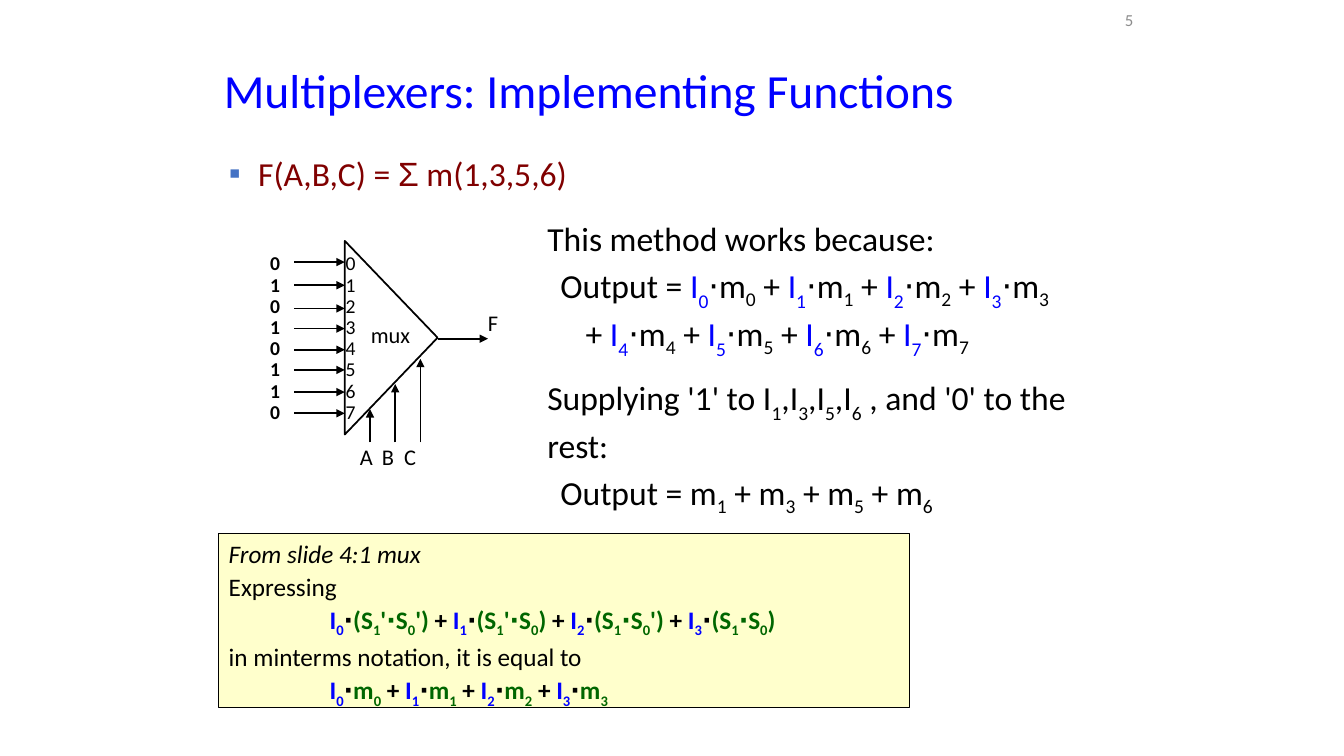
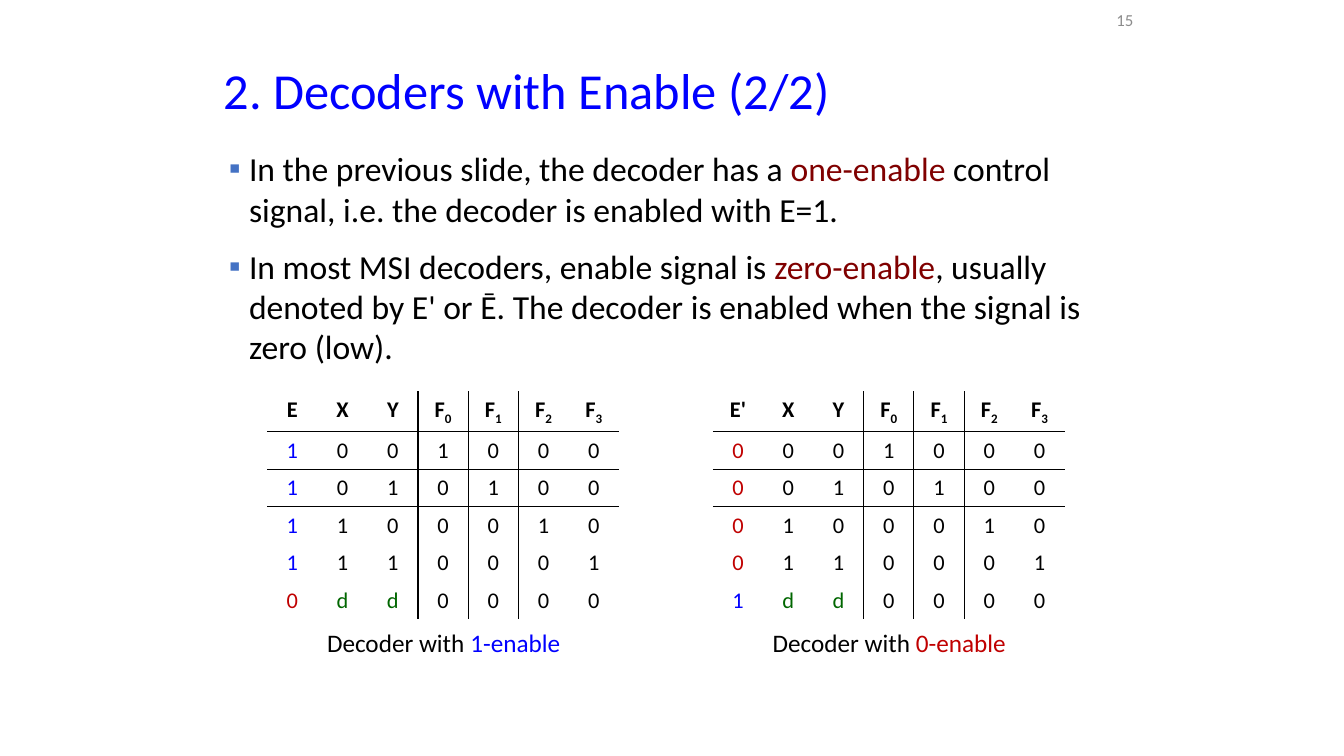
from lxml.etree import SubElement
from pptx import Presentation
from pptx.dml.color import RGBColor
from pptx.enum.shapes import MSO_CONNECTOR, MSO_SHAPE
from pptx.enum.text import MSO_ANCHOR, MSO_AUTO_SIZE, PP_ALIGN
from pptx.oxml.ns import qn
from pptx.util import Emu, Pt

PX = 9144  # one hundredth of an inch
FONT = "Calibri"
BLACK, BLUE, RED, GREEN = "000000", "0000FF", "C00000", "006600"
MAROON, GRAY, BULLET, CREAM = "800000", "8C8C8C", "4472C4", "FFFFCC"
NO_GRID_STYLE = "{2D5ABB26-0587-4C30-8999-92F81FD0307C}"


def px(length):
    return Emu(length * PX)


def color(code):
    return RGBColor.from_string(code)


class Deck:
    """Holds the shared style and the slide being built."""

    def __init__(self):
        self.deck = Presentation()
        self.deck.slide_width, self.deck.slide_height = px(1333), px(750)
        self.page = None

    def add_page(self, number, title, size):
        self.page = self.deck.slides.add_slide(self.deck.slide_layouts[1])
        frame = self.place(self.page.shapes.title, 212, 57, 930, 70)
        frame.vertical_anchor = MSO_ANCHOR.MIDDLE
        self.para(frame, [(title, BLUE)], size, spacing=0.9)
        frame = self.text_box(1039, 2, 95, 36)
        frame.vertical_anchor = MSO_ANCHOR.MIDDLE
        self.para(frame, [(number, GRAY)], 12, align=PP_ALIGN.RIGHT)

    def place(self, shape, left, top, width, height):
        shape.left, shape.top = px(left), px(top)
        shape.width, shape.height = px(width), px(height)
        frame = shape.text_frame
        frame.word_wrap = True
        frame.auto_size = MSO_AUTO_SIZE.NONE
        return frame

    def text_box(self, left, top, width, height):
        box = self.page.shapes.add_textbox(0, 0, 0, 0)
        return self.place(box, left, top, width, height)

    def para(self, frame, spans, size, before=0, after=0, spacing=None,
             align=PP_ALIGN.LEFT, margin=0, indent=0, **style):
        """Add a paragraph of (text, color[, subscript offset]) spans."""
        first = frame.paragraphs[0]
        para = frame.add_paragraph() if first.runs else first
        para.alignment = align
        para.space_before, para.space_after = Pt(before), Pt(after)
        if spacing:
            para.line_spacing = spacing
        properties = para._p.get_or_add_pPr()
        properties.set("marL", str(px(margin)))
        properties.set("indent", str(px(indent)))
        for text, ink, *offset in spans:
            if text.startswith("\n"):
                para.add_line_break()
            self.span(para, text.lstrip("\n"), ink, size, *offset, **style)
        return para

    def span(self, para, text, ink, size, offset=-25, bold=False, italic=False):
        """Add runs; the character after each underscore is a subscript."""
        head, *tails = text.split("_")
        pieces = [(head, 0)]
        for tail in tails:
            pieces += [(tail[0], offset), (tail[1:], 0)]
        for piece, baseline in pieces:
            if not piece:
                continue
            run = para.add_run()
            run.text = piece
            run.font.name = "Arial" if piece == "Σ" else FONT
            run.font.size = Pt(size)
            run.font.bold, run.font.italic = bold, italic
            run.font.color.rgb = color(ink)
            if baseline:
                run.font._element.set("baseline", str(baseline * 1000))

    def bullets(self, area, items, before, hang):
        frame = self.place(self.page.placeholders[1], *area)
        for spans in items:
            para = self.para(frame, spans, 24, before, margin=hang, indent=-hang)
            properties = para._p.get_or_add_pPr()
            tint = SubElement(properties, qn("a:buClr"))
            SubElement(tint, qn("a:srgbClr")).set("val", BULLET)
            SubElement(properties, qn("a:buFont")).set("typeface", "Arial")
            SubElement(properties, qn("a:buChar")).set("char", "▪")

    def shape(self, kind, left, top, width, height, weight, fill=None):
        shape = self.page.shapes.add_shape(
            kind, px(left), px(top), px(width), px(height))
        shape.shadow.inherit = False
        shape.line.color.rgb = color(BLACK)
        shape.line.width = Pt(weight)
        if fill:
            shape.fill.solid()
            shape.fill.fore_color.rgb = color(fill)
        else:
            shape.fill.background()
        return shape

    def arrow(self, *ends):
        arrow = self.page.shapes.add_connector(
            MSO_CONNECTOR.STRAIGHT, *[px(end) for end in ends])
        arrow.line.color.rgb = color(BLACK)
        arrow.line.width = Pt(1.25)
        properties = arrow._element.spPr
        SubElement(properties.find(qn("a:ln")), qn("a:tailEnd")).set("type", "triangle")
        SubElement(properties, qn("a:effectLst"))

    def digits(self, left, values, bold=False):
        frame = self.text_box(left, 247, 42, 178)
        for value in values:
            self.para(frame, [(value, BLACK)], 14, spacing=0.9, bold=bold)

    def truth_table(self, left, rows):
        table = self.page.shapes.add_table(
            len(rows), len(rows[0]), px(left), px(388), px(349), px(220)).table
        table.first_row = table.horz_banding = False
        table._tbl.tblPr.find(qn("a:tableStyleId")).text = NO_GRID_STYLE
        for row, values in enumerate(rows):
            for column, value in enumerate(values):
                cell = table.cell(row, column)
                ink = BLACK
                if value == "d":
                    ink = GREEN
                elif row and column == 0:
                    ink = BLUE if value == "1" else RED
                self.para(cell.text_frame, [(value, ink)], 16,
                          align=PP_ALIGN.CENTER, bold=row == 0)
                self.borders(cell, row, column)
                cell.fill.background()

    def borders(self, cell, row, column):
        """Rule off the F0 column and the first row of values."""
        ruled = {"L": column in (3, 4), "R": column in (2, 3),
                 "T": row in (1, 2), "B": row in (0, 1)}
        for side, shown in ruled.items():
            if shown:
                line = SubElement(cell._tc.get_or_add_tcPr(), qn("a:ln" + side))
                line.set("w", str(Pt(1)))
                fill = SubElement(line, qn("a:solidFill"))
                SubElement(fill, qn("a:srgbClr")).set("val", BLACK)


def product_sum(factors, dot, ink, offset=-25, per_line=4):
    """Spans of I0·f0 + I1·f1 + ..., with a new line every per_line terms."""
    spans = []
    for index, factor in enumerate(factors):
        if index:
            spans.append((" + " if index % per_line else "\n+ ", BLACK))
        spans += [(f"I_{index}", BLUE, offset), (dot, BLACK), (factor, ink)]
    return spans


def multiplexer_page(deck):
    deck.add_page("5", "Multiplexers: Implementing Functions", 34)
    formula = [(text, MAROON) for text in ("F(A,B,C) = ", "Σ", " m(1,3,5,6)")]
    deck.bullets((217, 147, 900, 58), [formula], 5, 29)

    # Multiplexer with its inputs, select lines and output
    mux = deck.shape(MSO_SHAPE.ISOSCELES_TRIANGLE, 292, 289, 192, 92, 1.25)
    mux.rotation = 90
    deck.para(deck.text_box(358, 314, 75, 37), [("mux", BLACK)], 16)
    for height in (260, 283, 306, 326, 347, 367, 389, 410):
        deck.arrow(292, height, 342, height)
    deck.digits(258, "01010110", bold=True)
    deck.digits(333, "01234567")
    for index, name in enumerate("ABC"):
        across = 367 + 25 * index
        deck.arrow(across, 439, across, 406 - 25 * index)
        deck.para(deck.text_box(347 + 22 * index, 435, 42, 37), [(name, BLACK)], 16)
    deck.arrow(434, 336, 484, 336)
    deck.para(deck.text_box(474, 302, 38, 37), [("F", BLACK)], 16)

    # Explanation
    frame = deck.text_box(533, 211, 600, 282)
    minterms = [f"m_{index}" for index in range(8)]
    output = [("Output = ", BLACK)]
    deck.para(frame, [("This method works because:", BLACK)], 24)
    deck.para(frame, output + product_sum(minterms, "⋅", BLACK, -30), 24, 5,
              margin=38, indent=-25)
    deck.para(frame, [("Supplying '1' to I_1,I_3,I_5,I_6 , and '0' to the rest:",
                       BLACK, -30)], 24, 12)
    deck.para(frame, output + [("m_1 + m_3 + m_5 + m_6", BLACK)], 24, 5,
              margin=38, indent=-25)

    # Reminder of the 4:1 case
    note = deck.shape(MSO_SHAPE.RECTANGLE, 217, 529, 685, 173, 0.75, CREAM)
    frame = note.text_frame
    frame.word_wrap = True
    frame.vertical_anchor = MSO_ANCHOR.TOP
    selects = ["(S_1'∙S_0')", "(S_1'∙S_0)", "(S_1∙S_0')", "(S_1∙S_0)"]
    deck.para(frame, [("From slide 4:1 mux", BLACK)], 18, after=2, italic=True)
    for lead, factors in (("Expressing", selects),
                          ("in minterms notation, it is equal to", minterms[:4])):
        deck.para(frame, [(lead, BLACK)], 18, after=2)
        deck.para(frame, product_sum(factors, "∙", GREEN), 18, after=2,
                  margin=100, bold=True)


def decoder_page(deck):
    deck.add_page("15", "2. Decoders with Enable (2/2)", 36)
    deck.bullets((217, 142, 900, 239), [
        [("In the previous slide, the decoder has a ", BLACK),
         ("one-enable", MAROON),
         (" control signal, i.e. the decoder is enabled with E=1.", BLACK)],
        [("In most MSI decoders, enable signal is ", BLACK),
         ("zero-enable", MAROON),
         (", usually denoted by E' or Ē. The decoder is enabled when "
          "the signal is zero (low).", BLACK)],
    ], 12, 20)

    # Truth tables with captions
    outputs = ["001000", "010100", "100010", "110001", "dd0000"]
    for left, enable, active, idle, ink, caption in (
            (265, "E", "1", "0", BLUE, (271, 617, 338, 40)),
            (707, "E'", "0", "1", RED, (719, 617, 326, 40))):
        rows = [[enable, "X", "Y", "F_0", "F_1", "F_2", "F_3"]]
        for values in outputs:
            rows.append([idle if "d" in values else active, *values])
        deck.truth_table(left, rows)
        deck.para(deck.text_box(*caption),
                  [("Decoder with ", BLACK), (f"{active}-enable", ink)], 18,
                  align=PP_ALIGN.CENTER)


def main():
    deck = Deck()
    multiplexer_page(deck)
    decoder_page(deck)
    deck.deck.save("out.pptx")


if __name__ == "__main__":
    main()
